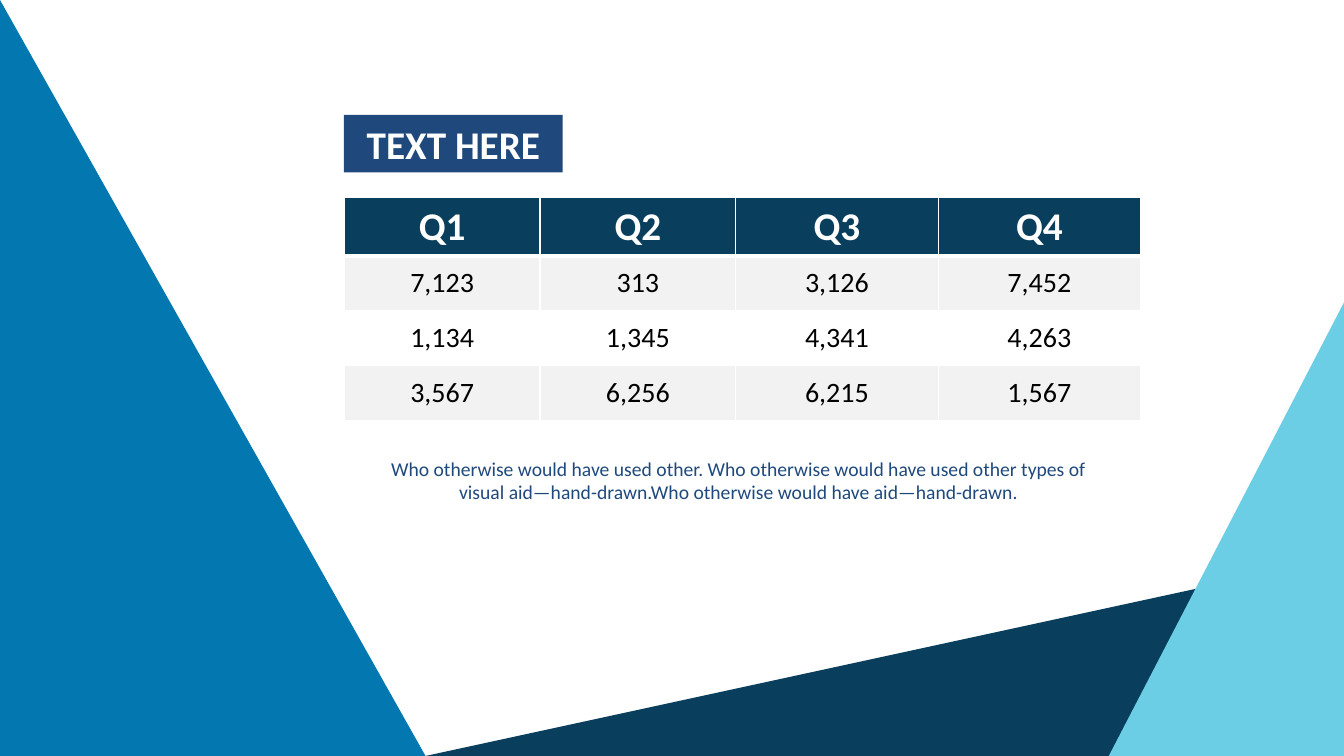
from lxml import etree
from pptx import Presentation
from pptx.dml.color import RGBColor
from pptx.enum.shapes import MSO_SHAPE
from pptx.enum.text import MSO_ANCHOR, PP_ALIGN
from pptx.oxml.ns import qn
from pptx.util import Pt

TRIANGLE = MSO_SHAPE.ISOSCELES_TRIANGLE
CENTER = PP_ALIGN.CENTER
TOP, MIDDLE = MSO_ANCHOR.TOP, MSO_ANCHOR.MIDDLE

SLIDE_WIDTH, SLIDE_HEIGHT = 960, 540
NAVY, BLUE, SKY = "093E5D", "0378B0", "6CCEE5"
INK, WHITE, BLACK, BAND = "1F497D", "FFFFFF", "000000", "F2F2F2"

QUARTERS = [
    ["Q1", "Q2", "Q3", "Q4"],
    ["7,123", "313", "3,126", "7,452"],
    ["1,134", "1,345", "4,341", "4,263"],
    ["3,567", "6,256", "6,215", "1,567"],
]
COLUMN_WIDTHS = [139.8, 139.8, 144.6, 144.6]
NOTE = ("Who otherwise would have used other. Who otherwise would have used "
        "other types of visual aid—hand-drawn.Who otherwise would have "
        "aid—hand-drawn.")


def fill_with(target, color):
    target.fill.solid()
    target.fill.fore_color.rgb = RGBColor.from_string(color)


def write(frame, text, size=14, color=BLACK, bold=False, anchor=TOP):
    frame.word_wrap = True
    frame.vertical_anchor = anchor
    paragraph = frame.paragraphs[0]
    paragraph.alignment = CENTER
    run = paragraph.add_run()
    run.text = text
    run.font.name = "Calibri"
    run.font.size = Pt(size)
    run.font.bold = bold
    run.font.color.rgb = RGBColor.from_string(color)


def add_triangle(slide, left, top, right, color, apex):
    """Stand a right triangle on the slide's bottom edge; apex is 0 left, 1 right."""
    shape = slide.shapes.add_shape(
        TRIANGLE, Pt(left), Pt(top), Pt(right - left), Pt(SLIDE_HEIGHT - top))
    shape.adjustments[0] = apex
    shape.shadow.inherit = False
    fill_with(shape, color)
    shape.line.fill.background()


def add_background(slide):
    add_triangle(slide, 304, 412, 894, NAVY, apex=1)
    add_triangle(slide, 0, 0, 304, BLUE, apex=0)
    add_triangle(slide, 792, 216, SLIDE_WIDTH, SKY, apex=1)


def place_title(slide, left, top, width, height):
    title = slide.shapes.title
    title.left, title.top = Pt(left), Pt(top)
    title.width, title.height = Pt(width), Pt(height)
    fill_with(title, INK)
    write(title.text_frame, "TEXT HERE", size=28, color=WHITE, bold=True)


def set_borders(cell, **widths):
    """Draw white borders, given in points by side: L, R, T, B in that order."""
    properties = cell._tc.get_or_add_tcPr()
    for index, (side, width) in enumerate(widths.items()):
        line = etree.Element(qn(f"a:ln{side}"), w=str(Pt(width)))
        solid = etree.SubElement(line, qn("a:solidFill"))
        etree.SubElement(solid, qn("a:srgbClr"), val=WHITE)
        properties.insert(index, line)


def add_quarter_table(slide, left, top, height):
    frame = slide.shapes.add_table(
        len(QUARTERS), len(COLUMN_WIDTHS), Pt(left), Pt(top),
        Pt(sum(COLUMN_WIDTHS)), Pt(height))
    table = frame.table
    for column, width in zip(table.columns, COLUMN_WIDTHS):
        column.width = Pt(width)
    for row_index, values in enumerate(QUARTERS):
        header = row_index == 0
        table.rows[row_index].height = Pt(height / len(QUARTERS))
        for column_index, value in enumerate(values):
            cell = table.cell(row_index, column_index)
            fill_with(cell, NAVY if header else BAND if row_index % 2 else WHITE)
            set_borders(cell, L=1, R=1, T=3 if row_index == 1 else 1,
                        B=3 if header else 1)
            cell.vertical_anchor = MIDDLE
            write(cell.text_frame, value, size=28 if header else 20,
                  color=WHITE if header else BLACK, bold=header, anchor=None)


def add_note(slide, left, top, width, height):
    box = slide.shapes.add_textbox(Pt(left), Pt(top), Pt(width), Pt(height))
    write(box.text_frame, NOTE, color=INK)


def main():
    presentation = Presentation()
    presentation.slide_width = Pt(SLIDE_WIDTH)
    presentation.slide_height = Pt(SLIDE_HEIGHT)
    slide = presentation.slides.add_slide(presentation.slide_layouts[5])
    add_background(slide)
    place_title(slide, 245.7, 82, 156.2, 41.2)
    add_quarter_table(slide, 246, 141.2, 157.4)
    add_note(slide, 263.5, 322.6, 528.5, 41.2)
    presentation.save("out.pptx")


if __name__ == "__main__":
    main()
